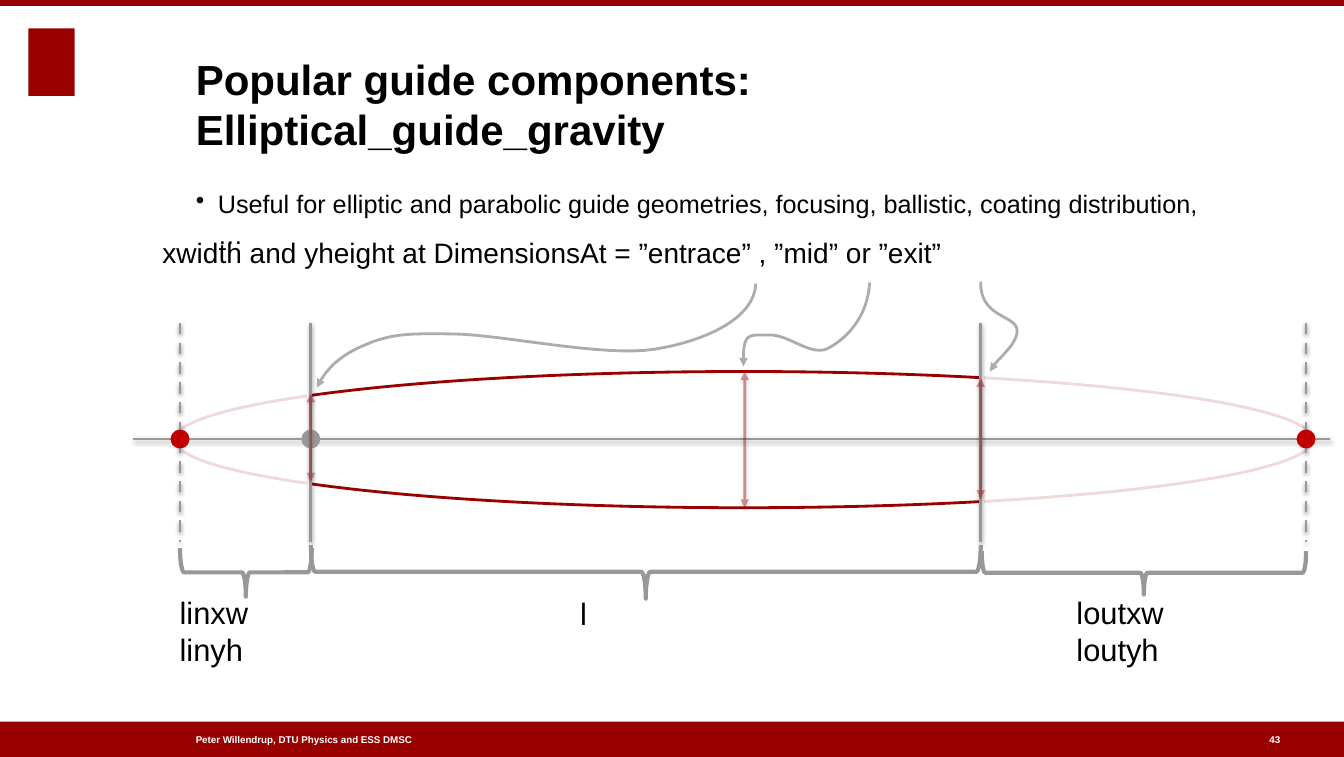
from dataclasses import dataclass
from typing import Optional

import lxml.etree
import pptx
import pptx.dml.color
import pptx.enum.dml
import pptx.enum.shapes
import pptx.enum.text
import pptx.oxml.ns
import pptx.util

Pt = pptx.util.Pt
qn = pptx.oxml.ns.qn
SHAPES = pptx.enum.shapes.MSO_SHAPE
ANCHORS = pptx.enum.text.MSO_ANCHOR

SLIDE_WIDTH, SLIDE_HEIGHT = 959.04, 540
RED, FOCUS_RED, GRAY, WHITE, BLACK = "990000", "C00000", "989898", "FFFFFF", "000000"
INLET_FOCUS, ENTRANCE, MIDDLE, EXIT, OUTLET_FOCUS = 128.5, 221.8, 531.4, 699.8, 932
AXIS_Y, BOUNDARY_TOP, BOUNDARY_BOTTOM = 313.2, 230.4, 386.5

Point = tuple[float, float]


@dataclass
class Text:
    content: str
    left: float
    top: float
    width: float
    height: float
    size: float
    color: str = BLACK
    bold: bool = False
    anchor: ANCHORS = ANCHORS.TOP
    bullet: bool = False
    wrap: bool = True


@dataclass
class Block:
    kind: SHAPES
    left: float
    top: float
    width: float
    height: float
    fill: Optional[str]
    line: Optional[str] = None
    line_width: float = 2
    opacity: int = 100
    rotation: float = 0


@dataclass
class Line:
    start: Point
    end: Point
    color: str = GRAY
    opacity: int = 100
    dashed: bool = False
    arrows: tuple[str, ...] = ()


@dataclass
class Brace:
    left: float
    right: float
    top: float
    depth: float


@dataclass
class Curve:
    """Cubic Bézier chain: a start point, then three points per segment."""
    points: list[Point]


def rgb(color: str) -> pptx.dml.color.RGBColor:
    return pptx.dml.color.RGBColor.from_string(color)


def set_opacity(element, percent: int) -> None:
    if percent < 100:
        color = next(element.iter(qn("a:srgbClr")))
        lxml.etree.SubElement(color, qn("a:alpha")).set("val", str(percent * 1000))


def style_line(shape, color: str, width: float, opacity: int = 100,
               arrows: tuple[str, ...] = ()) -> None:
    shape.line.color.rgb = rgb(color)
    shape.line.width = Pt(width)
    line = shape._element.spPr.find(qn("a:ln"))
    set_opacity(line, opacity)
    for end in arrows:
        lxml.etree.SubElement(line, qn(f"a:{end}")).set("type", "triangle")


def add_text(slide, text: Text) -> None:
    shape = slide.shapes.add_textbox(Pt(text.left), Pt(text.top), Pt(text.width), Pt(text.height))
    frame = shape.text_frame
    frame.word_wrap = text.wrap
    frame.vertical_anchor = text.anchor
    frame.margin_left = frame.margin_top = frame.margin_right = frame.margin_bottom = 0
    paragraph = frame.paragraphs[0]
    if text.bullet:
        properties = paragraph._p.get_or_add_pPr()
        properties.set("marL", str(Pt(15.8)))
        properties.set("indent", str(-Pt(15.8)))
        lxml.etree.SubElement(properties, qn("a:buChar")).set("char", "•")
    for index, content in enumerate(text.content.split("\n")):
        if index:
            paragraph.add_line_break()
        run = paragraph.add_run()
        run.text = content
        run.font.name = "Arial"
        run.font.size = Pt(text.size)
        run.font.bold = text.bold
        run.font.color.rgb = rgb(text.color)


def add_block(slide, block: Block) -> None:
    shape = slide.shapes.add_shape(
        block.kind, Pt(block.left), Pt(block.top), Pt(block.width), Pt(block.height))
    shape.shadow.inherit = False
    shape.rotation = block.rotation
    if block.fill:
        shape.fill.solid()
        shape.fill.fore_color.rgb = rgb(block.fill)
        set_opacity(shape._element.spPr, block.opacity)
    else:
        shape.fill.background()
    if block.line:
        style_line(shape, block.line, block.line_width)
    else:
        shape.line.fill.background()


def add_dot(slide, center_x: float, color: str) -> None:
    size = 11.5
    add_block(slide, Block(SHAPES.OVAL, center_x - size / 2, AXIS_Y - size / 2,
                           size, size, color, color))


def add_brace(slide, brace: Brace) -> None:
    """Draw a brace pointing down: a left brace turned about its centre."""
    span = brace.right - brace.left
    add_block(slide, Block(
        SHAPES.LEFT_BRACE, (brace.left + brace.right - brace.depth) / 2,
        brace.top + (brace.depth - span) / 2, brace.depth, span,
        None, GRAY, line_width=3, rotation=270))


def add_line(slide, line: Line) -> None:
    connector = slide.shapes.add_connector(
        pptx.enum.shapes.MSO_CONNECTOR.STRAIGHT, *map(Pt, line.start + line.end))
    if line.dashed:
        connector.line.dash_style = pptx.enum.dml.MSO_LINE.DASH
    style_line(connector, line.color, 2, line.opacity, line.arrows)
    effects = lxml.etree.SubElement(connector._element.spPr, qn("a:effectLst"))
    shadow = lxml.etree.SubElement(effects, qn("a:outerShdw"), blurRad=str(Pt(3)),
                                   dist=str(Pt(1.6)), dir="5400000", rotWithShape="0")
    lxml.etree.SubElement(shadow, qn("a:srgbClr"), val=BLACK)
    set_opacity(shadow, 38)


def add_curve(slide, curve: Curve, steps: int = 16) -> None:
    points = curve.points
    vertices = []
    for first in range(0, len(points) - 1, 3):
        controls = points[first:first + 4]
        for step in range(1, steps + 1):
            t = step / steps
            weights = ((1 - t) ** 3, 3 * t * (1 - t) ** 2, 3 * t * t * (1 - t), t ** 3)
            vertices.append(tuple(
                Pt(sum(w * point[axis] for w, point in zip(weights, controls)))
                for axis in (0, 1)))
    builder = slide.shapes.build_freeform(Pt(points[0][0]), Pt(points[0][1]))
    builder.add_line_segments(vertices, close=False)
    shape = builder.convert_to_shape()
    shape.shadow.inherit = False
    shape.fill.background()
    style_line(shape, GRAY, 2, 80, ("tailEnd",))


FRAME = [
    Block(SHAPES.RECTANGLE, 20.2, 20.2, 33.1, 48.2, RED),
    Block(SHAPES.RECTANGLE, 0, 514.8, SLIDE_WIDTH, 25.2, RED),
    Block(SHAPES.RECTANGLE, 0, 0, SLIDE_WIDTH, 4.3, RED),
]
HEADINGS = [
    Text("Peter Willendrup, DTU Physics and ESS DMSC", 139.7, 522.7, 267.8, 10.1, 7,
         WHITE, True, ANCHORS.MIDDLE),
    Text("Popular guide components: Elliptical_guide_gravity", 139.7, 33.8, 733, 76.3, 30,
         bold=True, anchor=ANCHORS.BOTTOM),
    Text("Useful for elliptic and parabolic guide geometries, focusing, ballistic, "
         "coating distribution, …", 139.7, 134.6, 733, 357.8, 18, bullet=True),
    Text("43", 905.8, 522.7, 10.1, 10.1, 7, WHITE, True, ANCHORS.MIDDLE, wrap=False),
]
GUIDE = [
    Block(SHAPES.OVAL, 124.6, 265, 812.2, 97.2, WHITE, RED),
    Block(SHAPES.RECTANGLE, 105.8, 216, 114.5, 186.5, WHITE, WHITE, opacity=85),
    Block(SHAPES.RECTANGLE, 701.3, 210.2, SLIDE_WIDTH - 701.3, 195.1, WHITE, WHITE, opacity=85),
]
AXES = [Line((95, AXIS_Y), (949, AXIS_Y))] + [
    Line((x, BOUNDARY_TOP), (x, BOUNDARY_BOTTOM), dashed=dashed)
    for x, dashed in ((ENTRANCE, False), (EXIT, False), (OUTLET_FOCUS, True), (INLET_FOCUS, True))]
BRACES = [
    Brace(ENTRANCE, EXIT, 388.8, 38.2),
    Brace(EXIT + 0.7, OUTLET_FOCUS, 393.1, 31),
    Brace(INLET_FOCUS, ENTRANCE + 0.7, 391, 34.6),
]
LABELS = [
    Text("linxw\nlinyh", 128.2, 423.4, 95.8, 51.1, 22),
    Text("l", 414, 424.1, 95.8, 25.2, 22),
    Text("loutxw\nloutyh", 768.2, 423.4, 95.8, 51.1, 22),
    Text("xwidth and yheight at DimensionsAt = ”entrace” , ”mid” or ”exit”",
         115.9, 167.8, 652.3, 22.3, 20),
]
OPENINGS = [
    Line((x, top), (x, bottom), RED, 40, arrows=("headEnd", "tailEnd"))
    for x, top, bottom in ((MIDDLE, 265, 362.2), (EXIT, 270, 355.7), (ENTRANCE, 280.8, 343.4))]
POINTERS = [
    Curve([(539.3, 202.3), (538.6, 227.5), (502.6, 243.4), (467.3, 249.1),
           (431.3, 254.9), (359.3, 239), (325.4, 238.3), (291.6, 237.6), (280.1, 238.3),
           (263.5, 244.8), (247, 251.3), (234, 259.9), (226.1, 276.5)]),
    Curve([(620.6, 201.6), (619.2, 226.8), (603.4, 241.9), (591.1, 248.4),
           (578.9, 254.9), (563, 238.3), (548.6, 239), (533.5, 239), (529.9, 236.9),
           (530.6, 261.4)]),
    Curve([(699.8, 200.9), (699.1, 226.8), (725, 224.6), (725.8, 235.4),
           (726.5, 246.2), (709.9, 257), (706.3, 265)]),
]


def main() -> None:
    presentation = pptx.Presentation()
    presentation.slide_width, presentation.slide_height = Pt(SLIDE_WIDTH), Pt(SLIDE_HEIGHT)
    slide = presentation.slides.add_slide(presentation.slide_layouts[6])
    for draw, items in ((add_block, FRAME), (add_text, HEADINGS), (add_block, GUIDE),
                        (add_line, AXES), (add_brace, BRACES), (add_text, LABELS)):
        for item in items:
            draw(slide, item)
    for center_x, color in ((INLET_FOCUS, FOCUS_RED), (OUTLET_FOCUS, FOCUS_RED), (ENTRANCE, GRAY)):
        add_dot(slide, center_x, color)
    for opening in OPENINGS:
        add_line(slide, opening)
    for pointer in POINTERS:
        add_curve(slide, pointer)
    presentation.save("out.pptx")


if __name__ == "__main__":
    main()
